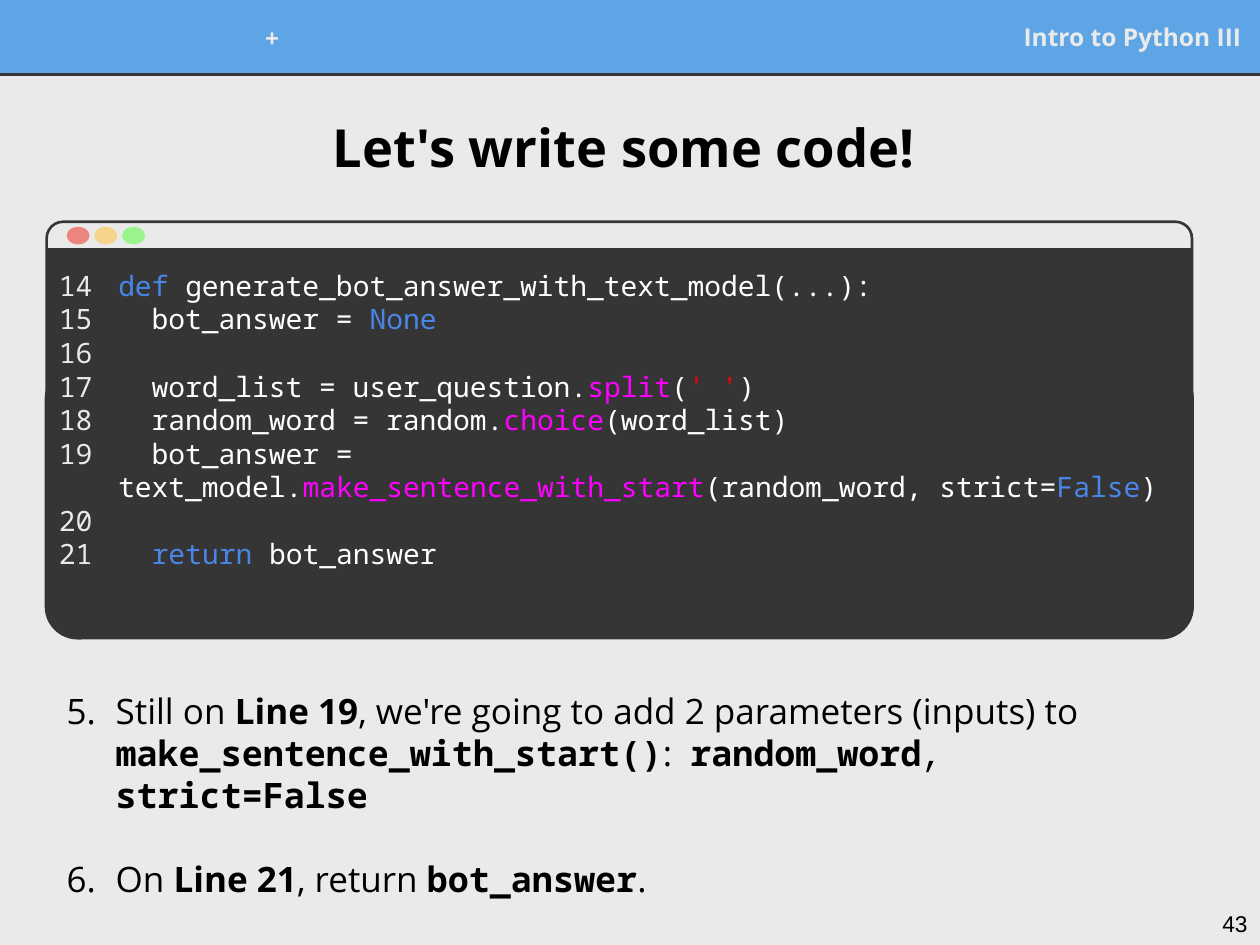
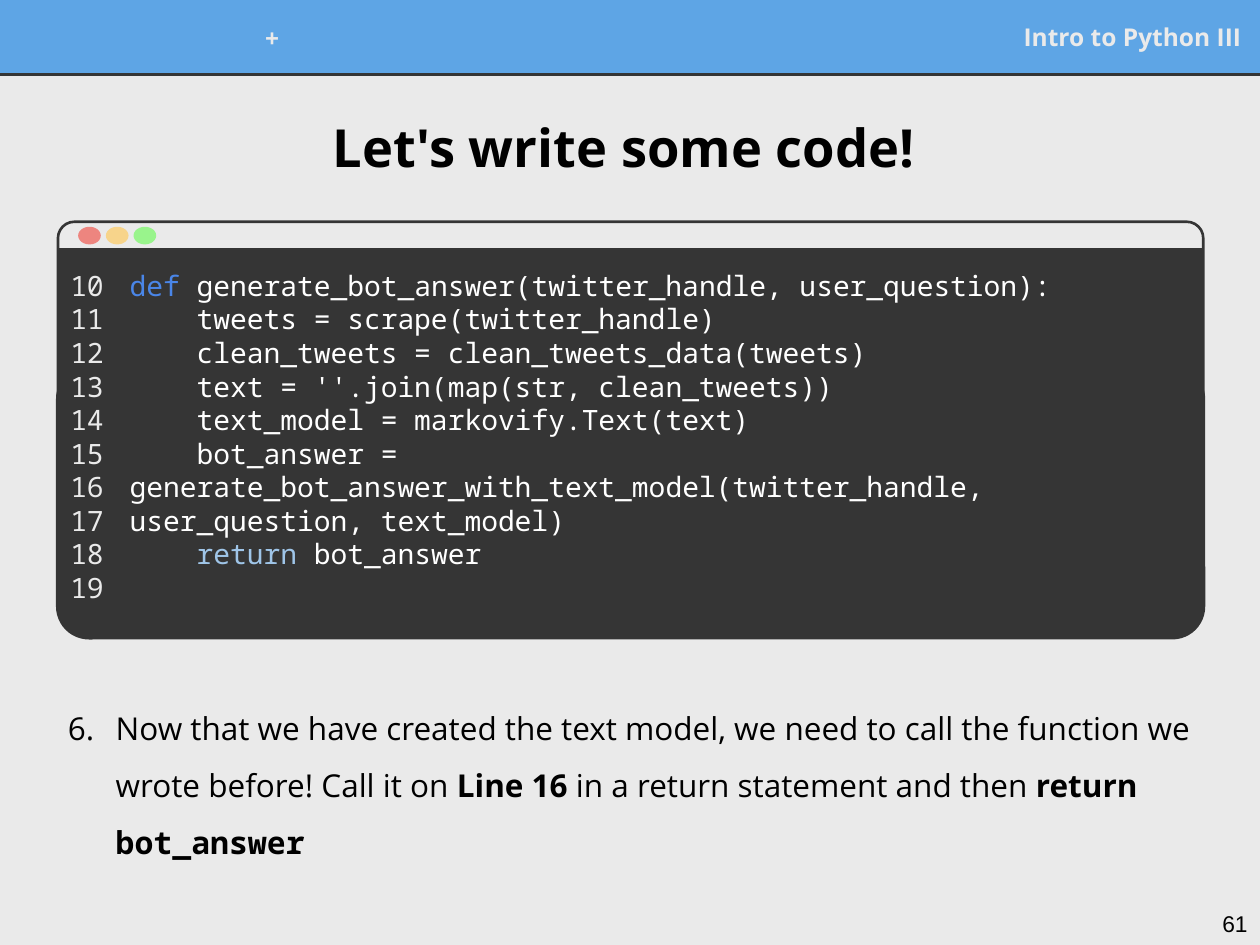
"""Build two coding-exercise slides with a code window and numbered instructions."""
import dataclasses

import lxml.etree
import pptx
import pptx.dml.color
import pptx.enum.shapes
import pptx.enum.text
import pptx.oxml.ns
import pptx.util


@dataclasses.dataclass(frozen=True)
class Theme:
    paper: str = "EAEAEA"
    band: str = "5EA5E5"
    dark: str = "353535"
    ink: str = "000000"
    code: str = "FFFFFF"
    buttons: tuple = ("ED857F", "F7D48B", "99F48C")
    sans: str = "Open Sans"
    mono: str = "Noto Sans Mono"
    plain: str = "Arial"
    typewriter: str = "Courier New"
    title_size: int = 30
    code_size: int = 16
    header_size: int = 14
    number_size: int = 13


theme = Theme()
span_styles = {
    "keyword": {"colour": "4A86E8"},
    "return": {"colour": "9FC5E8"},
    "call": {"colour": "FF00FF"},
    "string": {"colour": "FF0000"},
    "bold": {"bold": True},
    "code": {"name": theme.mono, "bold": True},
    "typewriter": {"name": theme.typewriter},
}

Align = pptx.enum.text.PP_ALIGN
Anchor = pptx.enum.text.MSO_ANCHOR
Preset = pptx.enum.shapes.MSO_SHAPE
colour_of = pptx.dml.color.RGBColor.from_string
qn = pptx.oxml.ns.qn

deck = pptx.Presentation()
deck.slide_width = pptx.util.Inches(10)
deck.slide_height = pptx.util.Inches(7.5)
column = deck.slide_width / 100
row = deck.slide_height / 75


def add_shape(shapes, preset, left, top, width, height, fill=None, line=None, weight=1, corner=None):
    """Add a preset shape placed in columns and rows."""
    shape = shapes.add_shape(preset, int(left * column), int(top * row), int(width * column), int(height * row))
    shape.shadow.inherit = False
    if corner is not None:
        shape.adjustments[0] = corner
    if fill:
        shape.fill.solid()
        shape.fill.fore_color.rgb = colour_of(fill)
    else:
        shape.fill.background()
    if line:
        shape.line.color.rgb = colour_of(line)
        shape.line.width = pptx.util.Pt(weight)
    else:
        shape.line.fill.background()


def add_text(shapes, left, top, width, height, lines, size, name=theme.sans, colour=theme.ink,
             bold=False, align=Align.LEFT, anchor=Anchor.TOP, start=None, indent=0, spacing=None):
    """Add a text box; an empty line becomes space before the next paragraph."""
    box = shapes.add_textbox(int(left * column), int(top * row), int(width * column), int(height * row))
    frame = box.text_frame
    frame.word_wrap = True
    frame.vertical_anchor = anchor
    frame.margin_left = frame.margin_right = int(column)
    frame.margin_top = frame.margin_bottom = int(row)
    para, gap = frame.paragraphs[0], 0
    for index, spans in enumerate(lines):
        if not spans:
            gap += size * 1.2
            continue
        if index:
            para = frame.add_paragraph()
        para.alignment = align
        if gap:
            para.space_before = pptx.util.Pt(gap)
            gap = 0
        if spacing:
            para.line_spacing = spacing
        if start:
            properties = para._p.get_or_add_pPr()
            properties.set("marL", str(int(5 * column)))
            properties.set("indent", str(int(-indent * column)))
            bullet_colour = lxml.etree.SubElement(properties, qn("a:buClr"))
            lxml.etree.SubElement(bullet_colour, qn("a:srgbClr"), val=colour)
            lxml.etree.SubElement(properties, qn("a:buFont"), typeface=name)
            lxml.etree.SubElement(properties, qn("a:buAutoNum"), type="arabicPeriod", startAt=str(start))
        para.font.size = pptx.util.Pt(size)
        para.font.name = name
        para.font.bold = bold
        para.font.color.rgb = colour_of(colour)
        for words, *style in spans:
            span = para.add_run()
            span.text = words
            look = span_styles[style[0]] if style else {}
            if "name" in look:
                span.font.name = look["name"]
            if "bold" in look:
                span.font.bold = look["bold"]
            if "colour" in look:
                span.font.color.rgb = colour_of(look["colour"])


exercises = [
    {
        "page_number": "43",
        "window_left": 3.7,
        "line_numbers": ["14", "15", "16", "17", "18", "19", "", "20", "21"],
        "code": [
            [("def ", "keyword"), ("generate_bot_answer_with_text_model(...):",)],
            [("  bot_answer = ",), ("None", "keyword")],
            [],
            [("  word_list = user_question.",), ("split", "call"), ("(",), ("' '", "string"), (")",)],
            [("  random_word = random.",), ("choice", "call"), ("(word_list)",)],
            [("  bot_answer = text_model.",), ("make_sentence_with_start", "call"),
             ("(random_word, strict=",), ("False", "keyword"), (")",)],
            [],
            [("  ",), ("return", "keyword"), (" bot_answer",)],
        ],
        "steps": [
            [("Still on ",), ("Line 19", "bold"), (", we're going to add 2 parameters (inputs) to ",),
             ("make_sentence_with_start()", "code"), (":  ",), ("random_word", "code"),
             (", ", "typewriter"), ("strict=False", "code")],
            [],
            [("On ",), ("Line 21", "bold"), (", return ",), ("bot_answer", "code"), (".",)],
        ],
        "steps_top": 52.8,
        "steps_style": {"size": 20, "start": 5, "indent": 3.9},
    },
    {
        "page_number": "61",
        "window_left": 4.6,
        "line_numbers": [str(number) for number in range(10, 20)],
        "code": [
            [("def ", "keyword"), ("generate_bot_answer(twitter_handle, user_question):",)],
            [("    tweets = scrape(twitter_handle)",)],
            [("    clean_tweets = clean_tweets_data(tweets)",)],
            [("    text = ''.join(map(str, clean_tweets))",)],
            [("    text_model = markovify.Text(text)",)],
            [("    bot_answer = generate_bot_answer_with_text_model(twitter_handle, user_question, text_model)",)],
            [("    ",), ("return", "return"), (" bot_answer",)],
        ],
        "steps": [
            [("Now that we have created the text model, we need to call the function we wrote before! Call it on ",),
             ("Line 16", "bold"), (" in a return statement and then ",), ("return ", "bold"),
             ("bot_answer", "code")],
        ],
        "steps_top": 51.3,
        "steps_style": {"size": 18, "start": 6, "indent": 3.8, "spacing": 1.5},
    },
]

for exercise in exercises:
    page = deck.slides.add_slide(deck.slide_layouts[6])
    page.background.fill.solid()
    page.background.fill.fore_color.rgb = colour_of(theme.paper)
    shapes = page.shapes

    add_shape(shapes, Preset.RECTANGLE, 0, 0, 100, 5.9, theme.band, theme.band, 0.75)
    rule = shapes.add_connector(pptx.enum.shapes.MSO_CONNECTOR.STRAIGHT,
                                0, int(5.9 * row), deck.slide_width, int(5.9 * row))
    rule.line.color.rgb = colour_of(theme.dark)
    rule.line.width = pptx.util.Pt(1.5)
    lxml.etree.SubElement(rule._element.spPr, qn("a:effectLst"))
    header = {"size": theme.header_size, "colour": theme.paper, "bold": True, "anchor": Anchor.MIDDLE}
    add_text(shapes, 62.4, 1, 37.1, 3.8, [[("Intro to Python III",)]], align=Align.RIGHT, **header)
    add_text(shapes, 18.6, 1.1, 6, 3.8, [[("+",)]], align=Align.CENTER, **header)
    add_text(shapes, 94, 71.2, 6, 3.8, [[(exercise["page_number"],)]], theme.number_size,
             theme.plain, align=Align.RIGHT)
    add_text(shapes, 1.8, 7.1, 96.5, 9, [[("Let's write some code! ",)]], theme.title_size,
             bold=True, align=Align.CENTER, anchor=Anchor.MIDDLE)

    add_text(shapes, 3.2, exercise["steps_top"], 93.7, 20.5, exercise["steps"],
             anchor=Anchor.MIDDLE, **exercise["steps_style"])

    window = shapes.add_group_shape().shapes
    left = exercise["window_left"]
    add_shape(window, Preset.ROUNDED_RECTANGLE, left, 17.6, 90.9, 23.8,
              line=theme.dark, weight=1.5, corner=0.055)
    add_shape(window, Preset.RECTANGLE, left, 19.7, 90.9, 28.5, theme.dark)
    add_shape(window, Preset.ROUNDED_RECTANGLE, left, 29.2, 90.9, 21.4,
              theme.dark, theme.dark, 2.25, 0.115)
    for index, button in enumerate(theme.buttons):
        add_shape(window, Preset.OVAL, left + 1.6 + 2.2 * index, 18, 1.8, 1.4, button)
    add_text(window, left + 4.7, 20.3, 84.5, 29.6, exercise["code"], theme.code_size, theme.mono, theme.code)
    add_text(window, left, 20.3, 5.6, 31, [[(number,)] if number else [] for number in exercise["line_numbers"]],
             theme.code_size, theme.mono, theme.paper)

deck.save("out.pptx")
